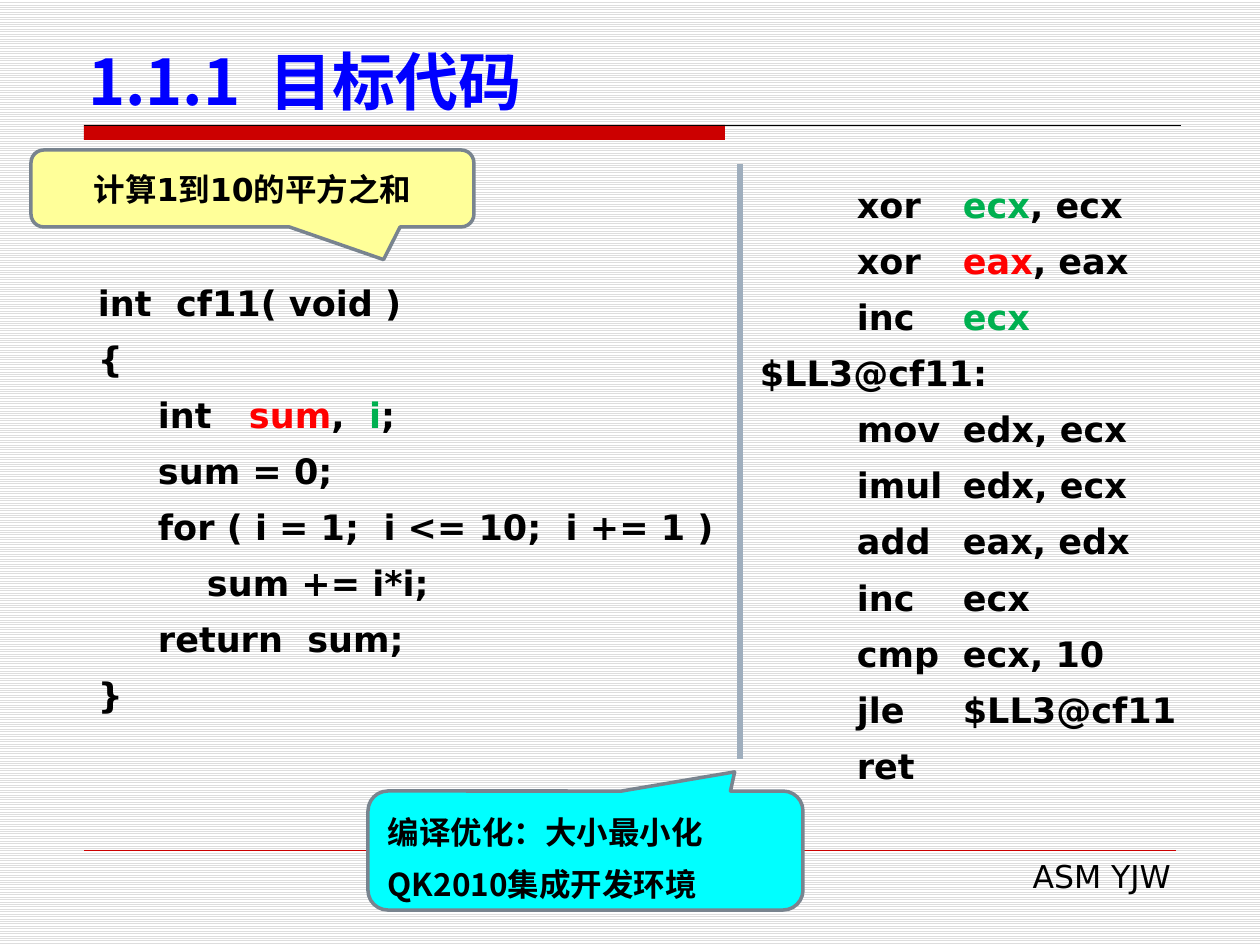
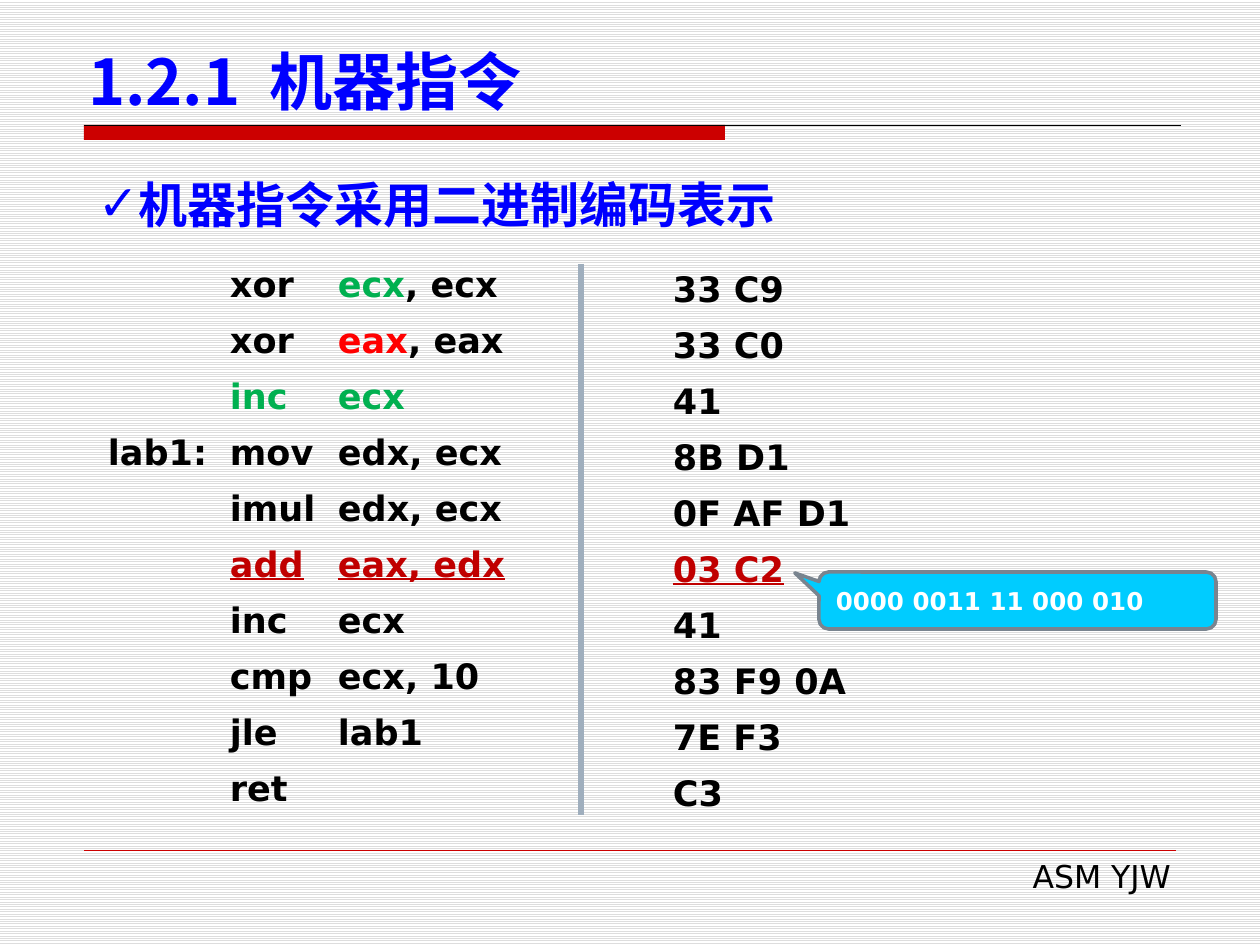
from lxml.etree import SubElement
from pptx import Presentation
from pptx.dml.color import RGBColor
from pptx.enum.dml import MSO_PATTERN
from pptx.enum.shapes import MSO_CONNECTOR, MSO_SHAPE
from pptx.enum.text import MSO_ANCHOR, PP_ALIGN
from pptx.oxml.ns import qn
from pptx.util import Emu, Pt

SCALE = 914400 / 126
LATIN, CJK = "DejaVu Sans", "Noto Sans CJK SC"
COLORS = {
    "white": "FFFFFF", "black": "000000", "stripe": "DDDDDD",
    "band": "CC0000", "blue": "0000FF", "red": "FF0000",
    "green": "00B050", "crimson": "C00000", "divider": "9FAEBD",
    "outline": "79848F", "yellow": "FFFF99", "cyan": "00FFFF", "sky": "00CCFF",
}

C_TABS = (60, 109, 151)
C_CODE = [
    "int  cf11( void )",
    "{",
    ["\tint\t", ("sum", "red"), ",  ", ("i", "green"), ";"],
    "\tsum = 0;",
    "\tfor ( i = 1;  i <= 10;  i += 1 )",
    "\t\tsum += i*i;",
    "\treturn  sum;",
    "}",
]
CLEAR_REGISTERS = [
    ["\txor\t", ("ecx", "green"), ", ecx"],
    ["\txor\t", ("eax", "red"), ", eax"],
]
ASM_TABS = (97, 203)
ASM_CODE = CLEAR_REGISTERS + [
    ["\tinc\t", ("ecx", "green")],
    "$LL3@cf11:",
    "\tmov\tedx, ecx",
    "\timul\tedx, ecx",
    "\tadd\teax, edx",
    "\tinc\tecx",
    "\tcmp\tecx, 10",
    "\tjle\t$LL3@cf11",
    "\tret",
]
LABELLED_TABS = (122, 230)
LABELLED_CODE = CLEAR_REGISTERS + [
    ["\t", ("inc\tecx", "green")],
    "lab1:\tmov\tedx, ecx",
    "\timul\tedx, ecx",
    ["\t", ("add\teax, edx", "crimson", True)],
    "\tinc\tecx",
    "\tcmp\tecx, 10",
    "\tjle\tlab1",
    "\tret",
]
MACHINE_CODE = [
    "33 C9", "33 C0", "41", "8B D1", "0F AF D1",
    [("03 C2", "crimson", True)],
    "41", "83 F9 0A", "7E F3", "C3",
]


def px(n):
    return Emu(round(n * SCALE))


def rgb(name):
    return RGBColor.from_string(COLORS[name])


def add_run(p, text, color, size, bold=True, font=LATIN, underline=False):
    r = p.add_run()
    r.text = text
    r.font.size, r.font.bold = Pt(size), bold
    r.font.color.rgb = rgb(color)
    r.font.name = font
    if underline:
        r.font.underline = True
    SubElement(r.font._element, qn("a:ea")).set("typeface", CJK)


def format_paragraph(p, indent, tabs, bullet):
    """Set the indent, bullet and tabs; an explicit zero indent would reset the tabs."""
    pPr = p._p.get_or_add_pPr()
    if indent:
        pPr.set("marL", str(px(indent)))
    if bullet:
        pPr.set("indent", str(px(-indent)))
        SubElement(pPr, qn("a:buFont")).set("typeface", LATIN)
        SubElement(pPr, qn("a:buChar")).set("char", bullet)
    if tabs:
        tab_list = SubElement(pPr, qn("a:tabLst"))
        for pos in tabs:
            tab = SubElement(tab_list, qn("a:tab"))
            tab.set("pos", str(px(pos)))
            tab.set("algn", "l")


def fill_text(sp, lines, size, color="black", align=PP_ALIGN.LEFT,
              anchor=MSO_ANCHOR.TOP, spacing=None, indent=0, tabs=(),
              bullet=None, bold=True, fonts=()):
    """Each line is a string or a list of strings and (text, color, underline) runs."""
    tf = sp.text_frame
    tf.word_wrap = True
    tf.vertical_anchor = anchor
    tf.margin_left = tf.margin_right = px(14)
    tf.margin_top = tf.margin_bottom = px(8)
    for i, line in enumerate(lines):
        p = tf.paragraphs[0] if i == 0 else tf.add_paragraph()
        p.alignment = align
        if spacing:
            p.line_spacing = spacing
        format_paragraph(p, indent, tabs, bullet)
        font = fonts[i] if fonts else LATIN
        for part in [line] if isinstance(line, str) else line:
            text, *style = (part,) if isinstance(part, str) else part
            run_color = style[0] if style else color
            add_run(p, text, run_color, size, bold, font, len(style) > 1)


def add_text(s, box, lines, size, **style):
    sp = s.shapes.add_textbox(*map(px, box))
    fill_text(sp, lines, size, **style)


def add_code(s, box, lines, **style):
    add_text(s, box, lines, 20, spacing=Pt(32), **style)


def add_line(s, x1, y1, x2, y2, color, width):
    line = s.shapes.add_connector(MSO_CONNECTOR.STRAIGHT, *map(px, (x1, y1, x2, y2)))
    line.line.color.rgb = rgb(color)
    line.line.width = Pt(width)
    SubElement(line._element.spPr, qn("a:effectLst"))


def add_callout(s, box, tip, fill, lines, size, **style):
    """Tip is the pointer's offset from the centre, as shares of width and height."""
    sp = s.shapes.add_shape(MSO_SHAPE.ROUNDED_RECTANGULAR_CALLOUT, *map(px, box))
    sp.shadow.inherit = False
    for i, value in enumerate((*tip, 0.167)):
        sp.adjustments[i] = value
    sp.fill.solid()
    sp.fill.fore_color.rgb = rgb(fill)
    sp.line.color.rgb = rgb("outline")
    sp.line.width = Pt(2)
    fill_text(sp, lines, size, anchor=MSO_ANCHOR.MIDDLE, **style)


def add_slide(prs, title):
    """Add a slide with the striped background, title, title band and footer."""
    s = prs.slides.add_slide(prs.slide_layouts[6])
    background = s.background.fill
    background.patterned()
    background.pattern = MSO_PATTERN.LIGHT_HORIZONTAL
    background.fore_color.rgb = rgb("stripe")
    background.back_color.rgb = rgb("white")

    band = s.shapes.add_shape(MSO_SHAPE.RECTANGLE, *map(px, (84, 125, 641, 15)))
    band.shadow.inherit = False
    band.fill.solid()
    band.fill.fore_color.rgb = rgb("band")
    band.line.fill.background()
    add_line(s, 84, 125, 1181, 125, "black", 0.25)
    add_line(s, 84, 850, 1176, 850, "band", 0.25)
    add_text(s, (481, 849, 704, 53), ["ASM YJW"], 18, align=PP_ALIGN.RIGHT, bold=False)
    add_text(s, (74, 37, 1142, 89), [title], 36, color="blue",
             anchor=MSO_ANCHOR.BOTTOM, fonts=[CJK])
    return s


def add_object_code_slide(prs):
    s = add_slide(prs, "1.1.1  目标代码")
    add_code(s, (84, 260, 662, 466), C_CODE, tabs=C_TABS)
    add_callout(s, (31, 150, 443, 77), (0.296, 0.924), "yellow",
                ["计算1到10的平方之和"], 18, align=PP_ALIGN.CENTER)
    add_callout(s, (368, 791, 435, 119), (0.343, -0.661), "cyan",
                ["编译优化：大小最小化", "QK2010集成开发环境"], 18,
                spacing=Pt(30), fonts=[LATIN, CJK])
    add_line(s, 740, 164, 740, 759, "divider", 3)
    add_code(s, (746, 160, 501, 636), ASM_CODE, tabs=ASM_TABS, anchor=MSO_ANCHOR.MIDDLE)


def add_machine_code_slide(prs):
    s = add_slide(prs, "1.2.1  机器指令")
    add_text(s, (84, 155, 1091, 78), ["机器指令采用二进制编码表示"], 28,
             color="blue", spacing=1.2, indent=41, bullet="✓")
    add_code(s, (610, 247, 566, 573), MACHINE_CODE, indent=49, anchor=MSO_ANCHOR.MIDDLE)
    add_line(s, 581, 264, 581, 815, "divider", 3)
    add_code(s, (94, 242, 517, 573), LABELLED_CODE, tabs=LABELLED_TABS,
             anchor=MSO_ANCHOR.MIDDLE)
    add_callout(s, (819, 572, 397, 57), (-0.561, -0.484), "sky",
                ["0000 0011 11 000 010"], 14, color="white")


def main():
    prs = Presentation()
    prs.slide_width, prs.slide_height = px(1260), px(945)
    add_object_code_slide(prs)
    add_machine_code_slide(prs)
    prs.save("out.pptx")


if __name__ == "__main__":
    main()
